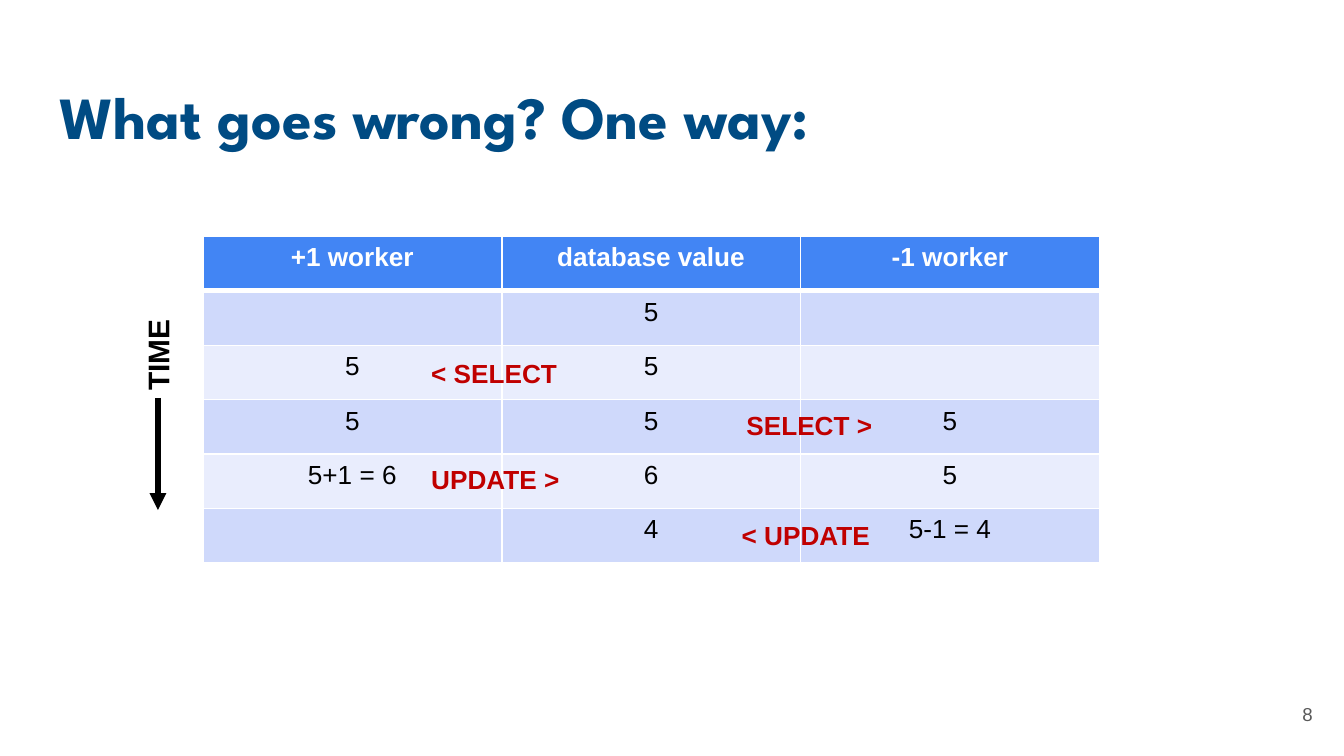
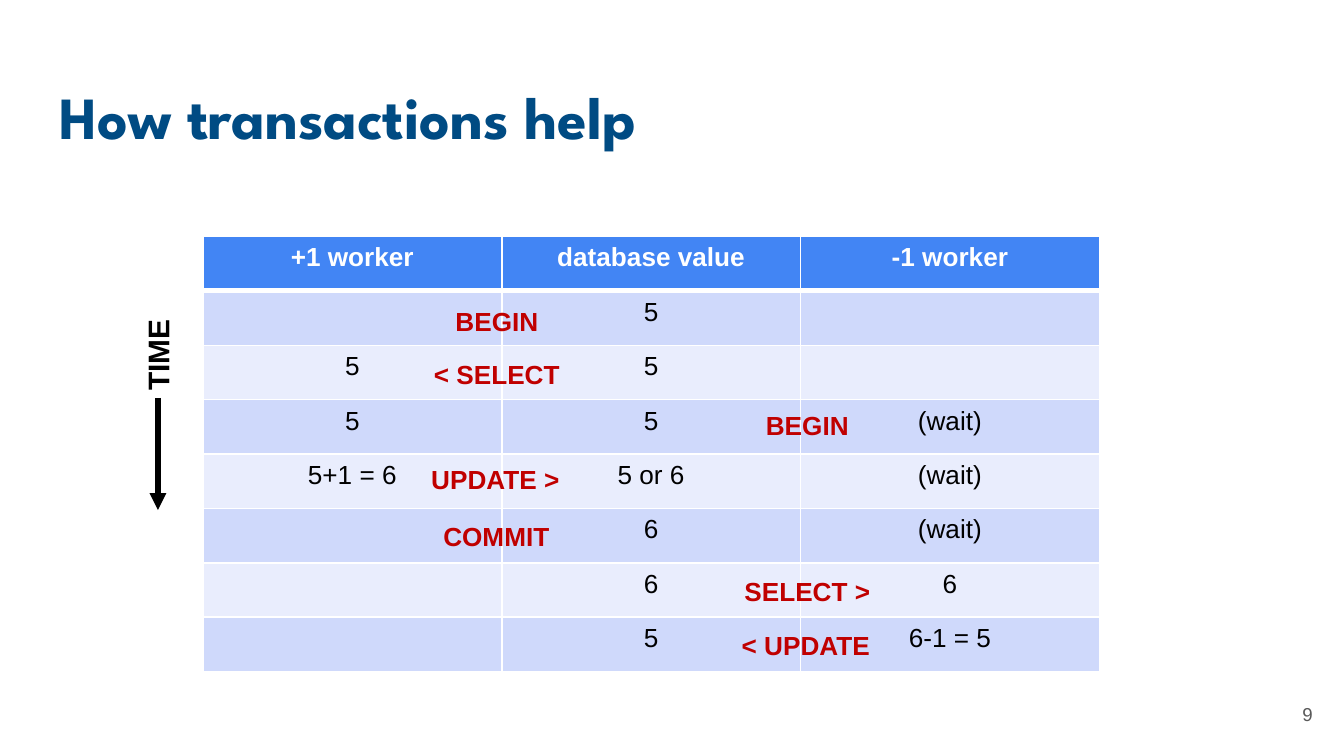
from dataclasses import dataclass

from lxml import etree
from pptx import Presentation
from pptx.dml.color import RGBColor
from pptx.enum.shapes import MSO_CONNECTOR
from pptx.enum.text import MSO_ANCHOR, MSO_AUTO_SIZE, PP_ALIGN
from pptx.oxml.ns import qn
from pptx.util import Emu, Pt

STRAIGHT = MSO_CONNECTOR.STRAIGHT
TOP, MIDDLE = MSO_ANCHOR.TOP, MSO_ANCHOR.MIDDLE
LEFT, CENTER, RIGHT = PP_ALIGN.LEFT, PP_ALIGN.CENTER, PP_ALIGN.RIGHT
NO_FIT, GROW = MSO_AUTO_SIZE.NONE, MSO_AUTO_SIZE.SHAPE_TO_FIT_TEXT

EMU_PER_PX = 4572  # 200 px to the inch
SLIDE_WIDTH, SLIDE_HEIGHT = 2000, 1125
FIRST_SLIDE_NUMBER = 8
TITLE_ONLY_LAYOUT = 5
INSET = 20


@dataclass(frozen=True)
class TextStyle:
    size: int
    color: str
    bold: bool = False
    font: str = "Arial"


@dataclass(frozen=True)
class Theme:
    title: TextStyle = TextStyle(32, "004B83", True, "League Spartan")
    number: TextStyle = TextStyle(10, "595959")
    header: TextStyle = TextStyle(14, "FFFFFF", True)
    body: TextStyle = TextStyle(14, "000000")
    statement: TextStyle = TextStyle(14, "C00000", True)
    time: TextStyle = TextStyle(16, "000000", True)
    header_fill: str = "4285F4"
    band_fills: tuple[str, str] = ("CFD9FB", "E9EDFD")
    border: str = "FFFFFF"
    arrow: str = "000000"


THEME = Theme()


@dataclass(frozen=True)
class Box:
    left: int
    top: int
    width: int
    height: int

    def emu(self) -> tuple[Emu, Emu, Emu, Emu]:
        return px(self.left), px(self.top), px(self.width), px(self.height)


@dataclass(frozen=True)
class Statement:
    """An SQL statement laid over a column border."""
    text: str
    left: int
    top: int


@dataclass(frozen=True)
class Timeline:
    title: str
    rows: list[tuple[str, str, str]]
    statements: list[Statement]


TITLE_BOX = Box(68, 98, 1864, 126)
NUMBER_BOX = Box(1853, 1020, 120, 86)
TIME_BOX = Box(161, 490, 148, 74)
ARROW_X, ARROW_TOP, ARROW_BOTTOM = 235, 592, 759
TABLE_LEFT, TABLE_TOP, TABLE_WIDTH, ROW_HEIGHT = 302, 352, 1334, 81
STATEMENT_HEIGHT = 68
STATEMENT_WIDTHS = {
    "BEGIN": 164, "COMMIT": 200, "< SELECT": 230, "SELECT >": 230,
    "UPDATE >": 236, "< UPDATE": 236,
}
HEADER = ("+1 worker", "database value", "-1 worker")

TIMELINES = [
    Timeline(
        "What goes wrong? One way:",
        [
            ("", "5", ""),
            ("5", "5", ""),
            ("5", "5", "5"),
            ("5+1 = 6", "6", "5"),
            ("", "4", "5-1 = 4"),
        ],
        [
            Statement("< SELECT", 622, 522),
            Statement("SELECT >", 1091, 600),
            Statement("UPDATE >", 622, 680),
            Statement("< UPDATE", 1084, 763),
        ],
    ),
    Timeline(
        "How transactions help",
        [
            ("", "5", ""),
            ("5", "5", ""),
            ("5", "5", "(wait)"),
            ("5+1 = 6", "5 or 6", "(wait)"),
            ("", "6", "(wait)"),
            ("", "6", "6"),
            ("", "5", "6-1 = 5"),
        ],
        [
            Statement("BEGIN", 658, 445),
            Statement("< SELECT", 626, 524),
            Statement("BEGIN", 1120, 600),
            Statement("UPDATE >", 622, 680),
            Statement("COMMIT", 640, 765),
            Statement("SELECT >", 1088, 847),
            Statement("< UPDATE", 1084, 927),
        ],
    ),
]


def px(length: int) -> Emu:
    return Emu(length * EMU_PER_PX)


def write(text_frame, text: str, style: TextStyle, alignment=LEFT) -> None:
    paragraph = text_frame.paragraphs[0]
    paragraph.text = text
    paragraph.alignment = alignment
    font = paragraph.font
    font.name, font.size, font.bold = style.font, Pt(style.size), style.bold
    font.color.rgb = RGBColor.from_string(style.color)


def set_frame(text_frame, anchor) -> None:
    """Fixed, wrapping frame with equal insets."""
    text_frame.word_wrap = True
    text_frame.auto_size = NO_FIT
    text_frame.vertical_anchor = anchor
    text_frame.margin_left = text_frame.margin_right = px(INSET)
    text_frame.margin_top = text_frame.margin_bottom = px(INSET)


def add_title(slide, text: str) -> None:
    title = slide.shapes.title
    title.left, title.top, title.width, title.height = TITLE_BOX.emu()
    set_frame(title.text_frame, TOP)
    write(title.text_frame, text, THEME.title)


def add_slide_number(slide, number: int) -> None:
    text_frame = slide.shapes.add_textbox(*NUMBER_BOX.emu()).text_frame
    set_frame(text_frame, MIDDLE)
    write(text_frame, str(number), THEME.number, RIGHT)


def add_label(slide, text: str, box: Box, style: TextStyle, rotation: int = 0) -> None:
    label = slide.shapes.add_textbox(*box.emu())
    label.rotation = rotation
    label.text_frame.word_wrap = False
    label.text_frame.auto_size = GROW
    write(label.text_frame, text, style)


def set_borders(cell, row_index: int) -> None:
    """White lines all round, thicker under the header row."""
    properties = cell._tc.get_or_add_tcPr()
    widths = {
        "a:lnL": 1,
        "a:lnR": 1,
        "a:lnT": 3 if row_index == 1 else 1,
        "a:lnB": 3 if row_index == 0 else 1,
    }
    for tag, width in widths.items():
        line = etree.SubElement(properties, qn(tag), w=str(int(Pt(width))))
        fill = etree.SubElement(line, qn("a:solidFill"))
        etree.SubElement(fill, qn("a:srgbClr"), val=THEME.border)


def add_timeline_table(slide, body_rows: list[tuple[str, str, str]]) -> None:
    rows = [HEADER, *body_rows]
    box = Box(TABLE_LEFT, TABLE_TOP, TABLE_WIDTH, ROW_HEIGHT * len(rows))
    table = slide.shapes.add_table(len(rows), len(HEADER), *box.emu()).table
    for row_index, row in enumerate(rows):
        is_header = row_index == 0
        style = THEME.header if is_header else THEME.body
        fill = THEME.header_fill if is_header else THEME.band_fills[(row_index - 1) % 2]
        for column_index, text in enumerate(row):
            cell = table.cell(row_index, column_index)
            set_borders(cell, row_index)
            cell.fill.solid()
            cell.fill.fore_color.rgb = RGBColor.from_string(fill)
            write(cell.text_frame, text, style, CENTER)


def add_time_arrow(slide) -> None:
    add_label(slide, "TIME", TIME_BOX, THEME.time, rotation=270)
    arrow = slide.shapes.add_connector(
        STRAIGHT, px(ARROW_X), px(ARROW_TOP), px(ARROW_X), px(ARROW_BOTTOM))
    arrow.line.width = Pt(3)
    arrow.line.color.rgb = RGBColor.from_string(THEME.arrow)
    etree.SubElement(arrow.line._get_or_add_ln(), qn("a:tailEnd"), type="triangle")
    etree.SubElement(arrow._element.spPr, qn("a:effectLst"))


def add_timeline_slide(presentation, timeline: Timeline, number: int) -> None:
    slide = presentation.slides.add_slide(presentation.slide_layouts[TITLE_ONLY_LAYOUT])
    add_title(slide, timeline.title)
    add_slide_number(slide, number)
    add_timeline_table(slide, timeline.rows)
    for statement in timeline.statements:
        box = Box(statement.left, statement.top,
                  STATEMENT_WIDTHS[statement.text], STATEMENT_HEIGHT)
        add_label(slide, statement.text, box, THEME.statement)
    add_time_arrow(slide)


def main() -> None:
    presentation = Presentation()
    presentation.slide_width = px(SLIDE_WIDTH)
    presentation.slide_height = px(SLIDE_HEIGHT)
    for number, timeline in enumerate(TIMELINES, FIRST_SLIDE_NUMBER):
        add_timeline_slide(presentation, timeline, number)
    presentation.save("out.pptx")


if __name__ == "__main__":
    main()
